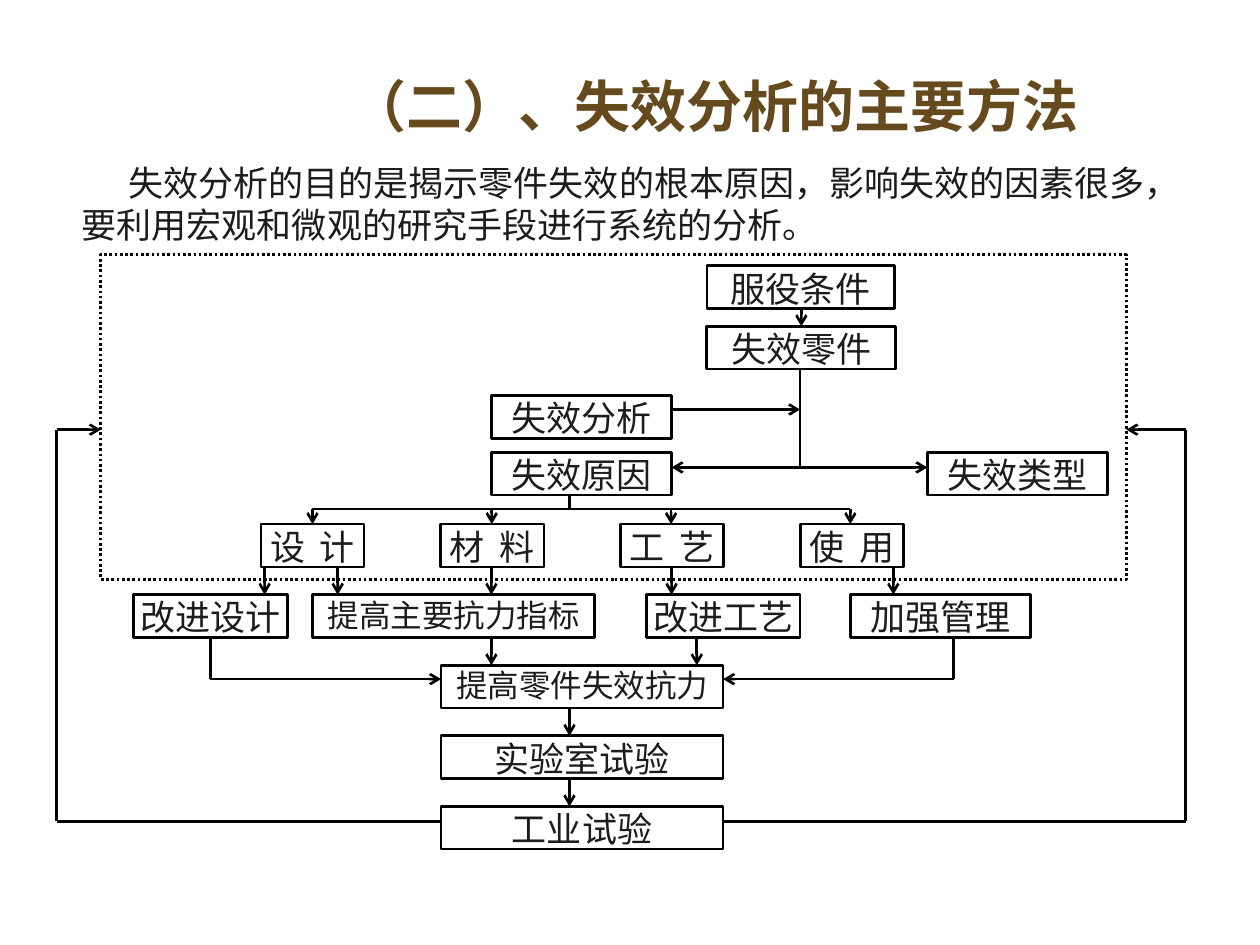
from lxml.etree import SubElement
from pptx import Presentation
from pptx.dml.color import RGBColor
from pptx.enum.dml import MSO_LINE
from pptx.enum.shapes import MSO_CONNECTOR, MSO_SHAPE
from pptx.enum.text import MSO_ANCHOR, MSO_AUTO_SIZE, PP_ALIGN
from pptx.oxml.ns import qn
from pptx.util import Inches, Pt

COLORS = {"title": "654A1D", "text": "1C1C1C", "line": "000000"}
BOX_HEIGHT = 0.34
ROW_TOPS = {
    "service": 0.09, "part": 0.57, "analysis": 1.12, "result": 1.57, "cause": 2.14,
    "measure": 2.7, "resistance": 3.26, "lab": 3.82, "industry": 4.38,
}
BOXES = [
    ("服役条件", "service", 5.17, 1.49, 20),
    ("失效零件", "part", 5.17, 1.5, 20),
    ("失效分析", "analysis", 3.46, 1.43, 20),
    ("失效原因", "result", 3.46, 1.43, 20),
    ("失效类型", "result", 6.92, 1.43, 20),
    ("改进设计", "measure", 0.62, 1.22, 20),
    ("提高主要抗力指标", "measure", 2.04, 2.24, 18),
    ("改进工艺", "measure", 4.69, 1.22, 20),
    ("加强管理", "measure", 6.31, 1.43, 20),
    ("提高零件失效抗力", "resistance", 3.06, 2.24, 18),
    ("实验室试验", "lab", 3.06, 2.24, 20),
    ("工业试验", "industry", 3.06, 2.24, 20),
]
CAUSES = ["设 计", "材 料", "工 艺", "使 用"]


def style_paragraph(para, font_name, size, color, bold=False):
    font = para.font
    font.name, font.size, font.bold = font_name, Pt(size), bold
    font.color.rgb = RGBColor.from_string(COLORS[color])


def style_line(line):
    line.color.rgb = RGBColor.from_string(COLORS["line"])
    line.width = Pt(1.5)


def add_title(page, left, top, width, height):
    title = page.shapes.title
    title.left, title.top = Inches(left), Inches(top)
    title.width, title.height = Inches(width), Inches(height)
    frame = title.text_frame
    frame.text = "（二）、失效分析的主要方法"
    frame.auto_size = MSO_AUTO_SIZE.NONE
    frame.vertical_anchor = MSO_ANCHOR.TOP
    para = frame.paragraphs[0]
    para.alignment = PP_ALIGN.LEFT
    style_paragraph(para, "Arial", 32, "title", bold=True)


def add_introduction(page, left, top, width, height):
    box = page.shapes.add_textbox(Inches(left), Inches(top), Inches(width), Inches(height))
    frame = box.text_frame
    frame.word_wrap = True
    para = frame.paragraphs[0]
    para.text = (
        "失效分析的目的是揭示零件失效的根本原因，影响失效的因素很多，"
        "要利用宏观和微观的研究手段进行系统的分析。"
    )
    para._p.get_or_add_pPr().set("indent", str(Inches(0.37)))
    style_paragraph(para, "Arial", 20, "text")


def add_rectangle(page, left, top, width, height):
    box = page.shapes.add_shape(
        MSO_SHAPE.RECTANGLE, Inches(left), Inches(top), Inches(width), Inches(height)
    )
    box.shadow.inherit = False
    box.fill.background()
    style_line(box.line)
    return box


def add_label_box(page, text, left, top, width, size, spacing=0):
    box = add_rectangle(page, left, top, width, BOX_HEIGHT)
    frame = box.text_frame
    frame.word_wrap = True
    frame.vertical_anchor = MSO_ANCHOR.TOP
    frame.margin_left = frame.margin_right = Inches(0.01)
    frame.margin_top = frame.margin_bottom = Inches(0.01)
    para = frame.paragraphs[0]
    para.text = text
    para.alignment = PP_ALIGN.CENTER
    style_paragraph(para, "Times New Roman", size, "text")
    if spacing:
        para.runs[0]._r.get_or_add_rPr().set("spc", str(spacing))


def add_path(page, left, top, points, start_arrow=False, end_arrow=True):
    last = len(points) - 2
    for index, ((x1, y1), (x2, y2)) in enumerate(zip(points, points[1:])):
        link = page.shapes.add_connector(
            MSO_CONNECTOR.STRAIGHT,
            Inches(left + x1), Inches(top + y1), Inches(left + x2), Inches(top + y2),
        )
        style_line(link.line)
        SubElement(link._element.spPr, qn("a:effectLst"))
        outline = link.line._get_or_add_ln()
        if start_arrow and index == 0:
            SubElement(outline, qn("a:headEnd"), type="arrow")
        if end_arrow and index == last:
            SubElement(outline, qn("a:tailEnd"), type="arrow")


def add_flowchart(page, left, top):
    scope = add_rectangle(page, left + 0.36, top, 8.14, 2.58)
    scope.line.dash_style = MSO_LINE.ROUND_DOT

    for text, row, x, width, size in BOXES:
        add_label_box(page, text, left + x, top + ROW_TOPS[row], width, size)
    for index, text in enumerate(CAUSES):
        x = 1.63 + 1.427 * index
        add_label_box(page, text, left + x, top + ROW_TOPS["cause"], 0.82, 20, spacing=200)

    bus, cause = 2.02, ROW_TOPS["cause"]
    cause_centers = [2.04 + 1.423 * index for index in range(len(CAUSES))]
    drops = [(x, bus, cause) for x in cause_centers]
    drops.append((5.92, 0.43, ROW_TOPS["part"]))
    drops += [(x, 2.48, ROW_TOPS["measure"]) for x in (1.66, 2.24, 3.46, 4.89, 6.65)]
    drops += [(x, 3.04, ROW_TOPS["resistance"]) for x in (3.46, 5.09)]
    drops += [(4.08, ROW_TOPS[row] - 0.22, ROW_TOPS[row]) for row in ("lab", "industry")]
    for x, start, end in drops:
        add_path(page, left, top, [(x, start), (x, end)])

    plain_lines = [
        [(cause_centers[0], bus), (cause_centers[-1], bus)],
        [(4.08, 1.91), (4.08, bus)],
        [(5.91, 0.91), (5.91, 1.69)],
    ]
    for points in plain_lines:
        add_path(page, left, top, points, end_arrow=False)

    add_path(page, left, top, [(4.89, 1.23), (5.91, 1.23)])
    add_path(page, left, top, [(4.89, 1.69), (6.92, 1.69)], start_arrow=True)
    for outer, inner in ((1.23, 3.06), (7.13, 5.3)):
        add_path(page, left, top, [(outer, 3.04), (outer, 3.37), (inner, 3.37)])
    for inner, outer, target in ((3.06, 0.01, 0.36), (5.3, 8.97, 8.5)):
        add_path(page, left, top, [(inner, 4.5), (outer, 4.5), (outer, 1.39), (target, 1.39)])


def main():
    deck = Presentation()
    deck.slide_width, deck.slide_height = Inches(10), Inches(7.5)
    page = deck.slides.add_slide(deck.slide_layouts[5])
    add_title(page, 2.68, 0.52, 7.32, 0.64)
    add_introduction(page, 0.55, 1.23, 9.17, 0.77)
    add_flowchart(page, 0.44, 2.02)
    deck.save("out.pptx")


if __name__ == "__main__":
    main()
